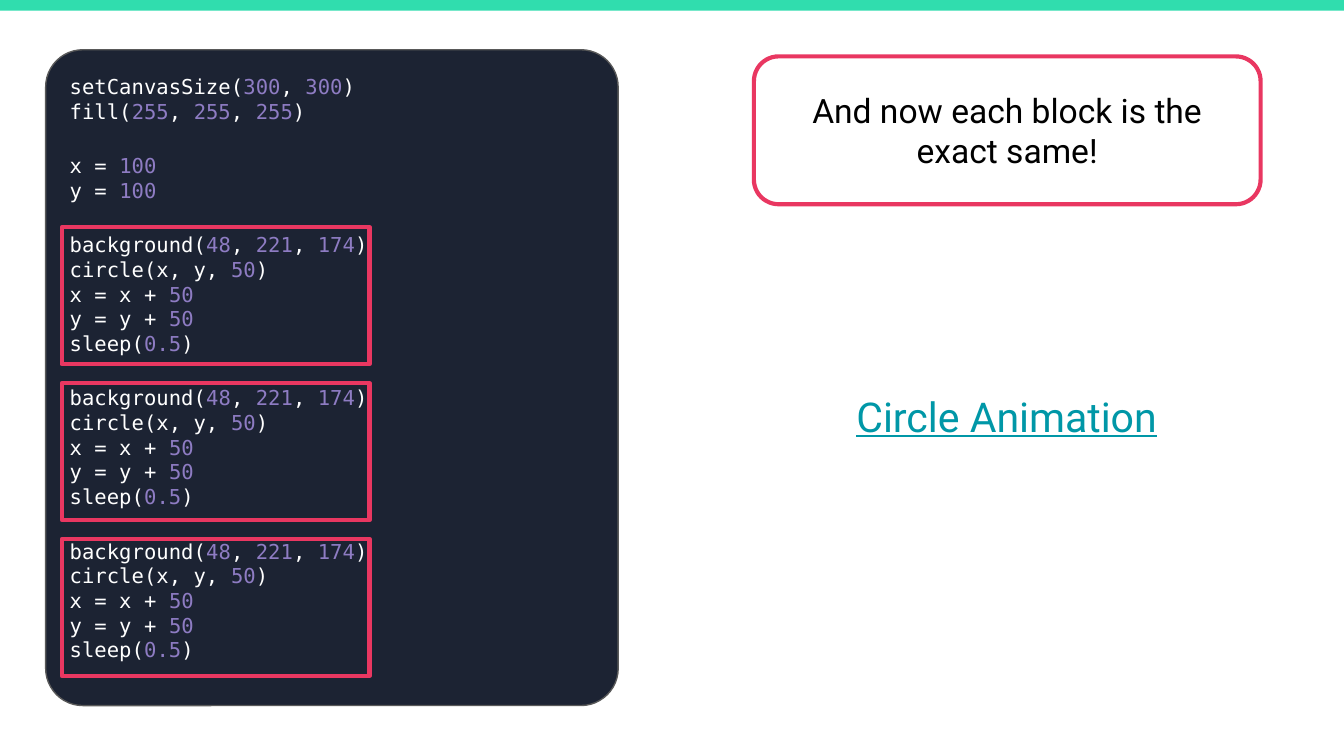
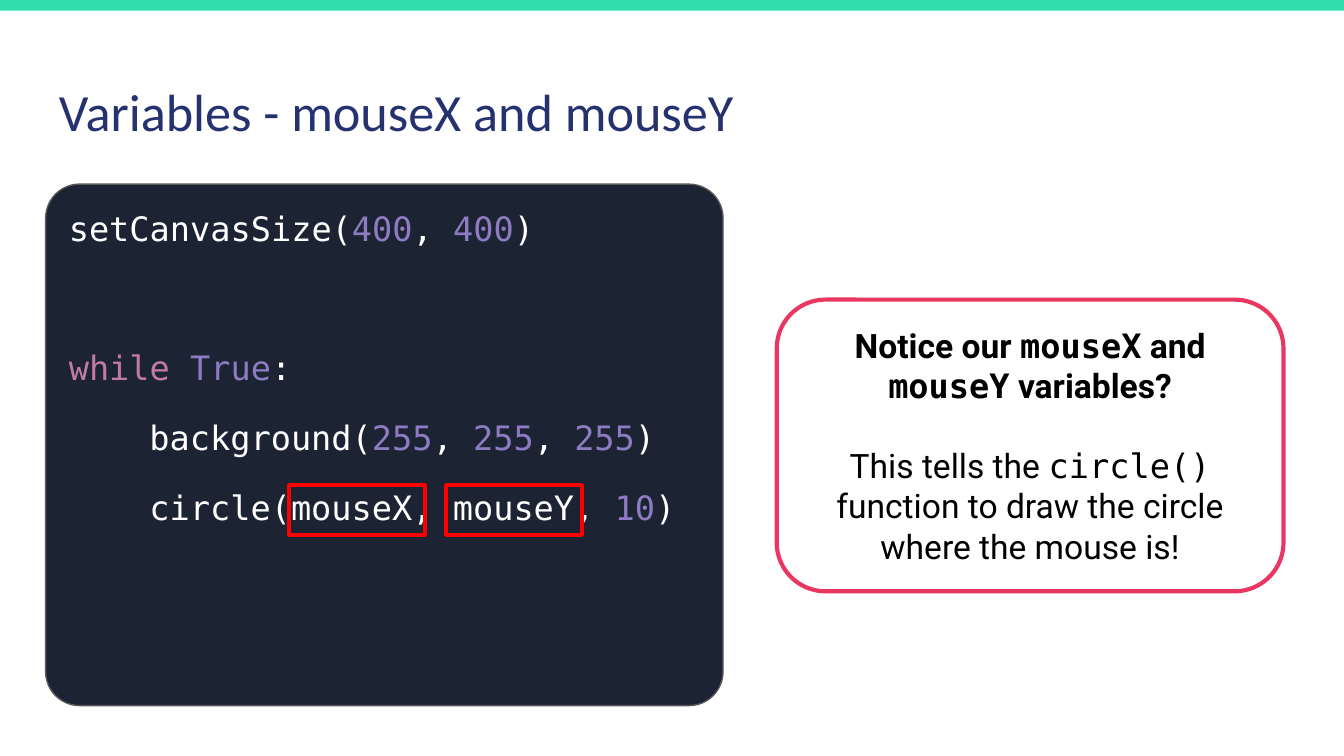
import itertools

import pptx
import pptx.dml.color
import pptx.enum.shapes
import pptx.enum.text
import pptx.util

Inches = pptx.util.Inches
Pt = pptx.util.Pt
RGBColor = pptx.dml.color.RGBColor
SHAPE = pptx.enum.shapes.MSO_SHAPE
ANCHOR = pptx.enum.text.MSO_ANCHOR
ALIGN = pptx.enum.text.PP_ALIGN

TEAL = RGBColor(0x30, 0xDD, 0xAE)
EDITOR = RGBColor(0x1C, 0x23, 0x33)
EDITOR_EDGE = RGBColor(0x59, 0x59, 0x59)
WHITE = RGBColor(0xFF, 0xFF, 0xFF)
BLACK = RGBColor(0x00, 0x00, 0x00)
PURPLE = RGBColor(0x8E, 0x7C, 0xC3)
MAUVE = RGBColor(0xC2, 0x7B, 0xA0)
PINK = RGBColor(0xE9, 0x37, 0x61)
RED = RGBColor(0xFF, 0x00, 0x00)
NAVY = RGBColor(0x25, 0x32, 0x6F)
LINK = RGBColor(0x00, 0x97, 0xA7)

MONO = "DejaVu Sans Mono"
BODY = "Roboto"
HEADING = "Calibri"
WORD_COLORS = {"while": MAUVE, "True": PURPLE}

SETUP = "setCanvasSize(300, 300)\nfill(255, 255, 255)"
START = "x = 100\ny = 100"
STEP = "background(48, 221, 174)\ncircle(x, y, 50)\nx = x + 50\ny = y + 50\nsleep(0.5)"


def add_box(slide, kind, place, fill=None, line=None, width=2.25, corner=None):
    box = slide.shapes.add_shape(kind, *map(Inches, place))
    box.shadow.inherit = False
    if corner is not None:
        box.adjustments[0] = corner
    if fill is None:
        box.fill.background()
    else:
        box.fill.solid()
        box.fill.fore_color.rgb = fill
    if line is None:
        box.line.fill.background()
    else:
        box.line.color.rgb = line
        box.line.width = Pt(width)
    return box


def prepare_frame(shape, anchor=ANCHOR.TOP):
    frame = shape.text_frame
    inset = Inches(0.1)
    settings = {"word_wrap": True, "vertical_anchor": anchor, "margin_left": inset,
                "margin_right": inset, "margin_top": inset, "margin_bottom": inset}
    for name, value in settings.items():
        setattr(frame, name, value)
    return frame


def add_paragraph(frame, index, align, gap=0):
    paragraph = frame.add_paragraph() if index else frame.paragraphs[0]
    paragraph.alignment = align
    paragraph.space_before = Pt(gap)
    return paragraph


def add_run(paragraph, text, color, **formats):
    run = paragraph.add_run()
    run.text = text
    run.font.color.rgb = color
    for name, value in formats.items():
        setattr(run.font, name, value)


def add_label(slide, place, text, size, font, color, align=ALIGN.LEFT, underline=False):
    frame = prepare_frame(slide.shapes.add_textbox(*map(Inches, place)))
    paragraph = add_paragraph(frame, 0, align)
    add_run(paragraph, text, color, size=Pt(size), name=font, underline=underline)


def token_color(token):
    if token.replace(".", "").isdigit():
        return PURPLE
    return WORD_COLORS.get(token, WHITE)


def add_code_line(paragraph, line, size):
    tokens = ("".join(part) for _, part in
              itertools.groupby(line, lambda char: char.isalnum() or char == "."))
    for color, same in itertools.groupby(tokens, token_color):
        add_run(paragraph, "".join(same), color, size=Pt(size), name=MONO)


def add_editor(slide, place, size, blocks):
    editor = add_box(slide, SHAPE.ROUNDED_RECTANGLE, place, EDITOR, EDITOR_EDGE, 0.75, 0.065)
    frame = prepare_frame(editor)
    for index, (code, gap, indent) in enumerate(blocks):
        paragraph = add_paragraph(frame, index, ALIGN.LEFT, gap)
        if indent:
            paragraph._p.get_or_add_pPr().set("marL", str(Inches(indent)))
        for number, line in enumerate(code.split("\n")):
            if number:
                paragraph.add_line_break()
            add_code_line(paragraph, line, size)


def add_callout(slide, place, messages):
    callout = add_box(slide, SHAPE.ROUNDED_RECTANGLE, place, line=PINK, corner=0.167)
    frame = prepare_frame(callout, ANCHOR.MIDDLE)
    for index, (bold, pieces) in enumerate(messages):
        paragraph = add_paragraph(frame, index, ALIGN.CENTER, 21 if index else 0)
        for text, font in pieces:
            add_run(paragraph, text, BLACK, size=Pt(18), name=font, bold=bold)


def add_slide(deck):
    slide = deck.slides.add_slide(deck.slide_layouts[6])
    add_box(slide, SHAPE.RECTANGLE, (-0.01, 0, 10.02, 0.08), TEAL)
    return slide


def build_repeated_blocks(deck):
    slide = add_slide(deck)
    blocks = [(SETUP, 0, 0), (START, 16, 0)] + [(STEP, 16, 0)] * 3
    add_editor(slide, (0.34, 0.37, 4.26, 4.88), 11, blocks)
    add_callout(slide, (5.61, 0.42, 3.77, 1.1),
                [(False, [("And now each block is the exact same!", BODY)])])
    for row in range(3):
        add_box(slide, SHAPE.RECTANGLE, (0.46, 1.69 + 1.16 * row, 2.29, 1.02), line=PINK)
    add_label(slide, (6.13, 2.81, 2.72, 0.57), "Circle Animation", 22, BODY, LINK,
              ALIGN.CENTER, True)


def build_mouse_variables(deck):
    slide = add_slide(deck)
    add_label(slide, (0.34, 0.49, 9.32, 0.63), "Variables - mouseX and mouseY",
              28, HEADING, NAVY)
    add_editor(slide, (0.34, 1.37, 5.04, 3.88), 18, [
        ("setCanvasSize(400, 400)", 0, 0),
        ("while True:", 53, 0),
        ("background(255, 255, 255)", 16, 0.6),
        ("circle(mouseX, mouseY, 10)", 16, 0.6),
    ])
    add_callout(slide, (5.78, 2.23, 3.77, 2.17), [
        (True, [("Notice our ", BODY), ("mouseX", MONO), (" and ", BODY),
                ("mouseY", MONO), (" variables?", BODY)]),
        (False, [("This tells the ", BODY), ("circle()", MONO),
                 (" function to draw the circle where the mouse is!", BODY)]),
    ])
    for left in (2.15, 3.32):
        add_box(slide, SHAPE.RECTANGLE, (left, 3.61, 1.01, 0.37), line=RED)


def main():
    deck = pptx.Presentation()
    deck.slide_width = Inches(10)
    deck.slide_height = Inches(10 * 9 / 16)
    build_repeated_blocks(deck)
    build_mouse_variables(deck)
    deck.save("out.pptx")


if __name__ == "__main__":
    main()
